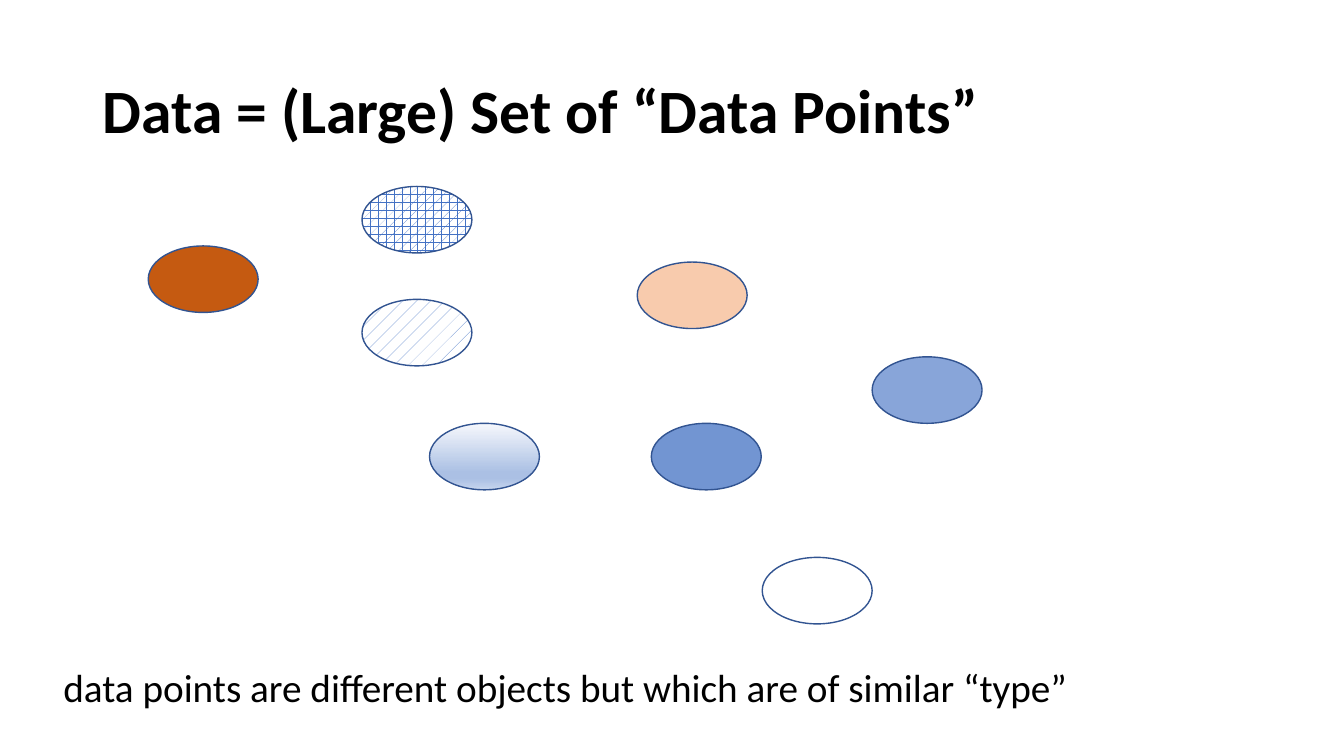
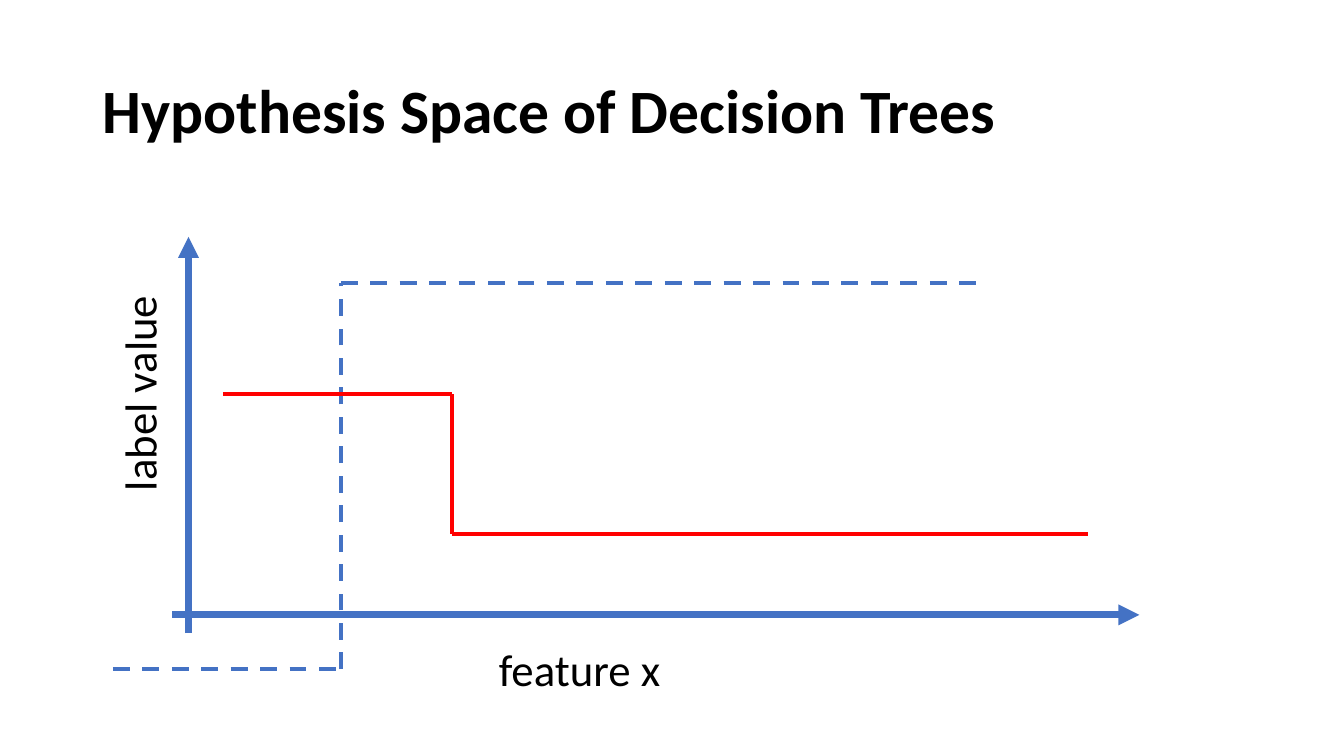
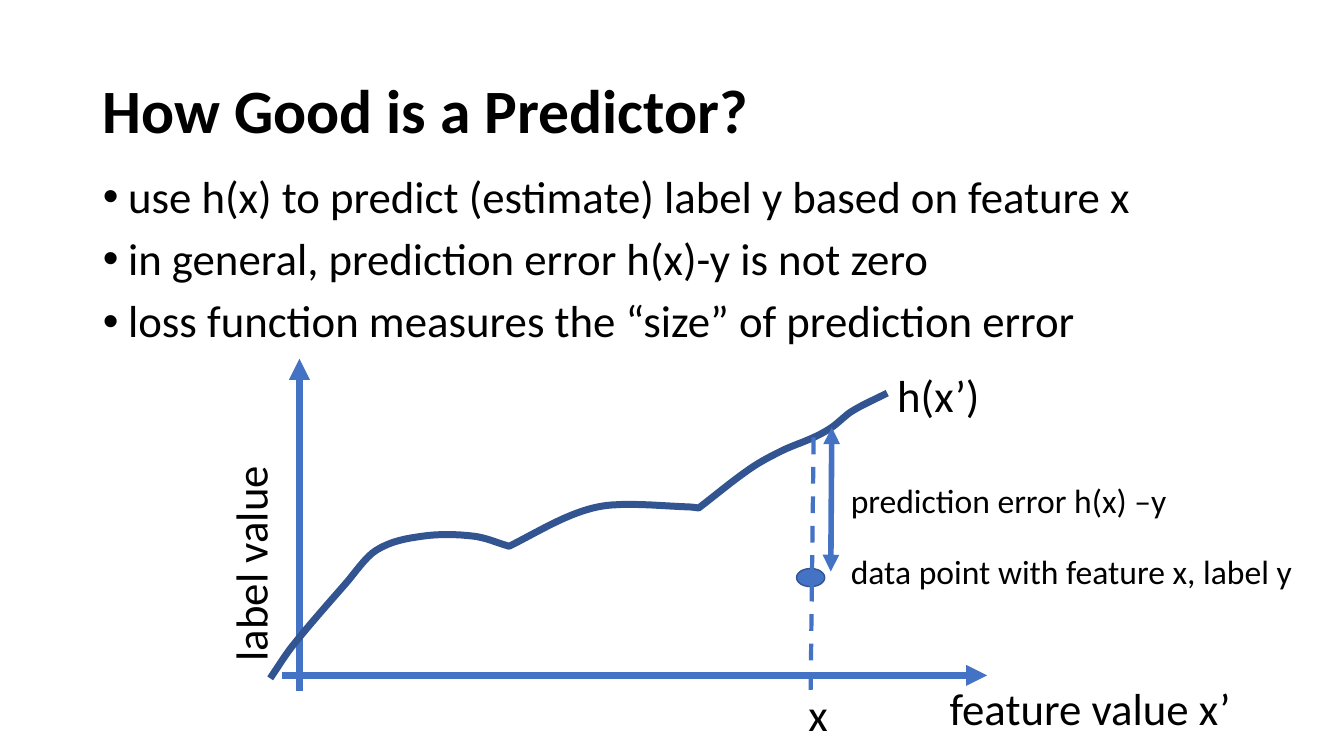
"""Build three machine learning slides on data points, hypotheses and predictors."""
from dataclasses import dataclass
from itertools import pairwise

from lxml.etree import SubElement
from pptx import Presentation
from pptx.dml.color import RGBColor
from pptx.enum.dml import MSO_LINE, MSO_PATTERN
from pptx.enum.shapes import MSO_CONNECTOR, MSO_SHAPE
from pptx.enum.text import MSO_ANCHOR, MSO_AUTO_SIZE, PP_ALIGN
from pptx.oxml.ns import qn
from pptx.util import Inches, Pt

DASH = MSO_LINE.DASH
PLAID = MSO_PATTERN.PLAID
DOTS = MSO_PATTERN.PERCENT_5
STRAIGHT = MSO_CONNECTOR.STRAIGHT
ELLIPSE = MSO_SHAPE.OVAL
MIDDLE = MSO_ANCHOR.MIDDLE
LEFT = PP_ALIGN.LEFT
NO_FIT = MSO_AUTO_SIZE.NONE
GROW = MSO_AUTO_SIZE.SHAPE_TO_FIT_TEXT
CONTENT_LAYOUT, TITLE_ONLY_LAYOUT = 1, 5
CURVE_STEPS = 8


@dataclass(frozen=True)
class Theme:
    """Colours, type sizes and line widths shared by all slides."""

    font: str = "Calibri"
    text: RGBColor = RGBColor(0, 0, 0)
    paper: RGBColor = RGBColor(255, 255, 255)
    blue: RGBColor = RGBColor.from_string("4472C4")
    outline: RGBColor = RGBColor.from_string("325491")
    red: RGBColor = RGBColor.from_string("FF0000")
    rust: RGBColor = RGBColor.from_string("C55A11")
    peach: RGBColor = RGBColor.from_string("F8CBAD")
    fade: tuple = ((0, "F6F8FC"), (74, "ABC0E4"), (83, "ABC0E4"), (100, "C7D5ED"))
    title_size: int = 44
    body_size: int = 32
    caption_size: int = 28
    note_size: int = 24
    axis_width: int = 5
    step_width: int = 3
    error_width: int = 4


def slope(start, end):
    """Return the slope of the straight line between two points."""
    return (end[1] - start[1]) / (end[0] - start[0])


def smooth(knots):
    """Return points on a cubic Hermite curve through knots sorted by x."""
    last = len(knots) - 1
    slopes = [slope(knots[max(i - 1, 0)], knots[min(i + 1, last)])
              for i in range(len(knots))]
    points = [knots[0]]
    for (start, slope_in), (end, slope_out) in pairwise(zip(knots, slopes)):
        run, rise = end[0] - start[0], end[1] - start[1]
        for step in range(1, CURVE_STEPS + 1):
            t = step / CURVE_STEPS
            y = (start[1] + rise * t * t * (3 - 2 * t)
                 + run * t * (1 - t) * (slope_in * (1 - t) - slope_out * t))
            points.append((start[0] + run * t, y))
    return points


class Deck:
    """Holds the theme and the current slide, and draws each kind of element."""

    def __init__(self, theme):
        """Start an empty widescreen presentation."""
        self.theme = theme
        self.presentation = Presentation()
        self.presentation.slide_width = Inches(13.33)
        self.presentation.slide_height = Inches(7.5)
        self.slide = None

    def place(self, shape, left, top, width, height):
        """Move and size a shape, in inches."""
        shape.left, shape.top = Inches(left), Inches(top)
        shape.width, shape.height = Inches(width), Inches(height)

    def style(self, paragraph, size, bold=False):
        """Give a paragraph the theme font."""
        font = paragraph.font
        font.name, font.size, font.bold = self.theme.font, Pt(size), bold
        font.color.rgb = self.theme.text

    def start(self, heading, layout=TITLE_ONLY_LAYOUT):
        """Add a slide with its title."""
        self.slide = self.presentation.slides.add_slide(
            self.presentation.slide_layouts[layout])
        title = self.slide.shapes.title
        self.place(title, 0.92, 0.4, 11.5, 1.45)
        frame = title.text_frame
        frame.text = heading
        frame.vertical_anchor, frame.auto_size = MIDDLE, NO_FIT
        paragraph = frame.paragraphs[0]
        paragraph.alignment, paragraph.line_spacing = LEFT, 0.9
        self.style(paragraph, self.theme.title_size, bold=True)

    def bullets(self, items):
        """Fill the body placeholder with a bulleted list."""
        body = self.slide.placeholders[1]
        self.place(body, 0.92, 1.68, 11.5, 1.66)
        frame = body.text_frame
        frame.text = "\n".join(items)
        frame.auto_size = NO_FIT
        for paragraph in frame.paragraphs:
            paragraph.line_spacing, paragraph.space_before = 0.9, Pt(10)
            self.style(paragraph, self.theme.body_size)
            properties = paragraph._p.get_or_add_pPr()
            properties.set("marL", str(Inches(0.25)))
            properties.set("indent", str(-Inches(0.25)))

    def label(self, text, left, top, width, height=0.64, size=None, rotation=0,
              wrap=False):
        """Add a one-line text box."""
        box = self.slide.shapes.add_textbox(
            Inches(left), Inches(top), Inches(width), Inches(height))
        box.rotation = rotation
        frame = box.text_frame
        frame.text = text
        frame.word_wrap, frame.auto_size = wrap, GROW
        self.style(frame.paragraphs[0], size or self.theme.body_size)

    def data_point(self, left, top, width=1.09, height=0.66, color=None, opacity=100):
        """Draw an outlined ellipse, hollow unless a colour is given."""
        point = self.slide.shapes.add_shape(
            ELLIPSE, Inches(left), Inches(top), Inches(width), Inches(height))
        point.shadow.inherit = False
        point.line.color.rgb, point.line.width = self.theme.outline, Pt(1)
        if color is None:
            point.fill.background()
            return point
        point.fill.solid()
        point.fill.fore_color.rgb = color
        if opacity < 100:
            tone = point._element.spPr.find(qn("a:solidFill"))[0]
            SubElement(tone, qn("a:alpha")).set("val", str(opacity * 1000))
        return point

    def patterned_point(self, left, top, pattern):
        """Draw a data point with a pattern fill."""
        fill = self.data_point(left, top).fill
        fill.patterned()
        fill.pattern = pattern
        fill.fore_color.rgb, fill.back_color.rgb = self.theme.blue, self.theme.paper

    def faded_point(self, left, top):
        """Draw a data point with a top-down gradient."""
        point = self.data_point(left, top)
        point.fill.gradient()
        point.fill.gradient_angle = 270
        stops = point._element.spPr.find(qn("a:gradFill")).find(qn("a:gsLst"))
        for stop in list(stops):
            stops.remove(stop)
        for position, color in self.theme.fade:
            stop = SubElement(stops, qn("a:gs"), pos=str(position * 1000))
            SubElement(stop, qn("a:srgbClr"), val=color)

    def line(self, start, end, color, width, dash=None, arrows=()):
        """Draw a straight line with optional arrowheads."""
        connector = self.slide.shapes.add_connector(
            STRAIGHT, *(Inches(value) for value in (*start, *end)))
        connector.line.color.rgb, connector.line.width = color, Pt(width)
        connector.line.dash_style = dash
        properties = connector._element.spPr
        for arrow in arrows:
            SubElement(properties.find(qn("a:ln")), qn(f"a:{arrow}"), type="triangle")
        SubElement(properties, qn("a:effectLst"))

    def axes(self, origin, left, right, bottom, top):
        """Draw a horizontal and a vertical axis arrow that cross at the origin."""
        origin_x, origin_y = origin
        for start, end in (((left, origin_y), (right, origin_y)),
                           ((origin_x, bottom), (origin_x, top))):
            self.line(start, end, self.theme.blue, self.theme.axis_width,
                      arrows=["tailEnd"])

    def step_function(self, left, threshold, right, before, after, color, dash=None):
        """Draw a function that jumps from one level to another at a threshold."""
        corners = [(left, before), (threshold, before),
                   (threshold, after), (right, after)]
        for start, end in pairwise(corners):
            self.line(start, end, color, self.theme.step_width, dash)

    def curve(self, stretches):
        """Draw one open outline of smooth stretches that meet in sharp corners."""
        points = [point for knots in stretches for point in smooth(knots)]
        vertices = [(Inches(x), Inches(y)) for x, y in points]
        builder = self.slide.shapes.build_freeform(*vertices[0])
        builder.add_line_segments(vertices[1:], close=False)
        outline = builder.convert_to_shape()
        outline.shadow.inherit = False
        outline.fill.background()
        outline.line.color.rgb = self.theme.outline
        outline.line.width = Pt(self.theme.axis_width)


def data_slide(deck):
    """Show a set of different but similar data points."""
    theme = deck.theme
    pattern_left, gradient_row = 3.59, 4.2
    deck.start("Data = (Large) Set of “Data Points”")
    for left, top, color, opacity in (
            (1.47, 2.44, theme.rust, 100), (6.32, 2.6, theme.peach, 100),
            (7.56, 5.53, None, 100), (8.65, 3.54, theme.blue, 63),
            (6.46, gradient_row, theme.blue, 75)):
        deck.data_point(left, top, color=color, opacity=opacity)
    for top, pattern in ((1.85, PLAID), (2.97, DOTS)):
        deck.patterned_point(pattern_left, top, pattern)
    deck.faded_point(4.26, gradient_row)
    deck.label("data points are different objects but which are of similar “type”",
               0.53, 6.53, 10.18, 0.57, theme.caption_size)


def hypothesis_slide(deck):
    """Show two step functions on one pair of axes."""
    theme = deck.theme
    deck.start("Hypothesis Space of Decision Trees")
    deck.axes(origin=(1.87, 6.1), left=1.71, right=11.3, bottom=6.28, top=2.35)
    deck.label("feature x", 4.85, 6.32, 1.82)
    deck.label("label value", 0.3, 3.57, 2.16, rotation=270)
    deck.step_function(left=1.12, threshold=3.38, right=9.7,
                       before=6.64, after=2.81, color=theme.blue, dash=DASH)
    deck.step_function(left=2.21, threshold=4.48, right=10.79,
                       before=3.91, after=5.3, color=theme.red)


def predictor_slide(deck):
    """Show the prediction error of a predictor at one data point."""
    theme = deck.theme
    first_dip, second_dip = (5.05, 5.42), (6.93, 5.04)
    prediction, error_top = (8.07, 4.34), (8.25, 4.24)
    steep_rise = [(2.68, 6.73), (2.9, 6.41), (3.42, 5.8), (3.73, 5.46),
                  (4.19, 5.32), (4.7, 5.32), first_dip]
    gentle_rise = [first_dip, (5.67, 5.11), (6.07, 5.01), (6.84, 5.03), second_dip]
    final_climb = [second_dip, (7.44, 4.65), (7.76, 4.47), prediction, error_top,
                   (8.45, 4.08), (8.8, 3.9)]
    notes_left = 8.34

    deck.start("How Good is a Predictor?", CONTENT_LAYOUT)
    deck.bullets(["use h(x) to predict (estimate) label y based on feature x",
                  "in general, prediction error h(x)-y is not zero",
                  "loss function measures the “size” of prediction error"])
    deck.axes(origin=(2.97, 6.7), left=2.8, right=9.79, bottom=6.86, top=3.56)
    deck.label("feature value x’", 9.32, 6.7, 3.02)
    deck.label("label value", 1.4, 5.26, 2.16, rotation=270)
    deck.curve([steep_rise, gentle_rise, final_climb])
    deck.label("h(x’)", 8.8, 3.6, 1.03)
    deck.data_point(7.9, 5.64, 0.28, 0.18, theme.blue)
    deck.line(prediction, (8.04, 6.86), theme.blue, theme.step_width, DASH)
    deck.label("x", 7.92, 6.76, 0.25, wrap=True)
    deck.line(error_top, (8.24, 5.67), theme.blue, theme.error_width,
              arrows=["headEnd", "tailEnd"])
    for note, top, width in (("prediction error h(x) –y", 4.71, 3.37),
                             ("data point with feature x, label y", 5.42, 4.62)):
        deck.label(note, notes_left, top, width, 0.5, theme.note_size)


def main():
    """Build and save the presentation."""
    deck = Deck(Theme())
    for build in (data_slide, hypothesis_slide, predictor_slide):
        build(deck)
    deck.presentation.save("out.pptx")


if __name__ == "__main__":
    main()
